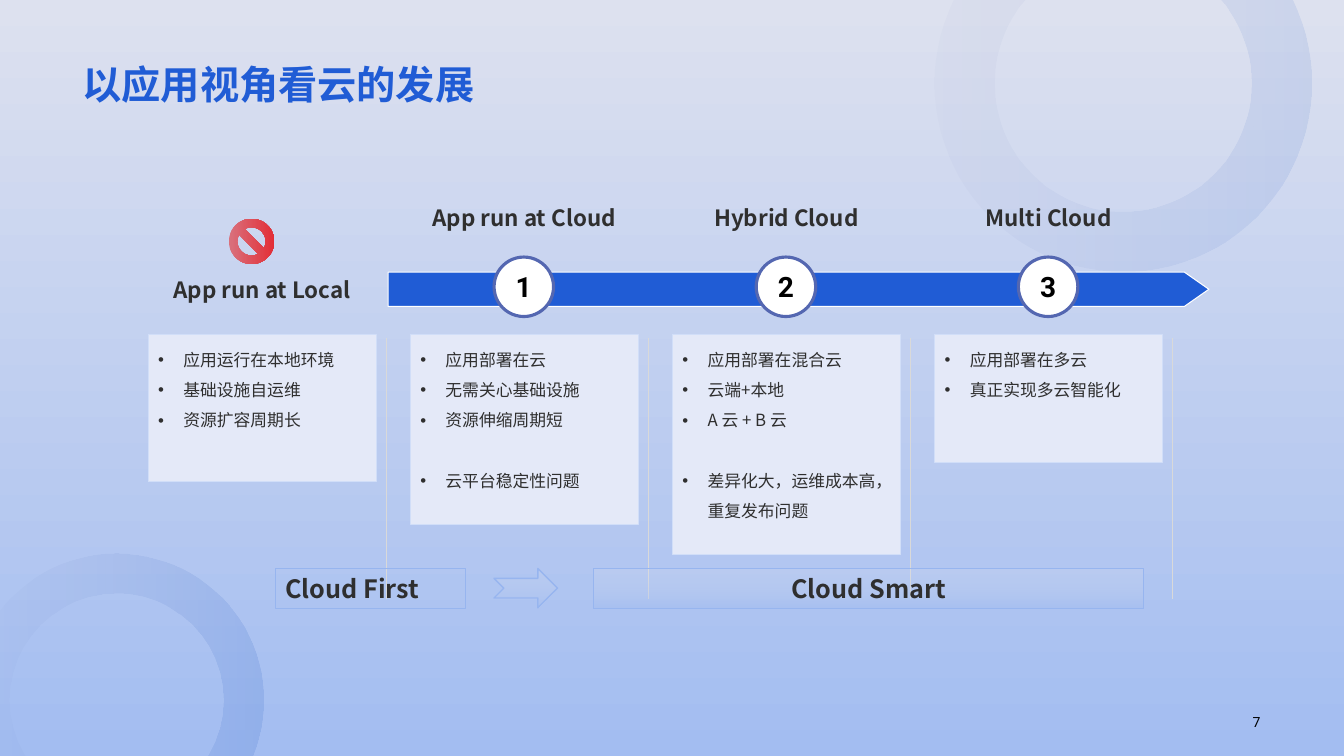
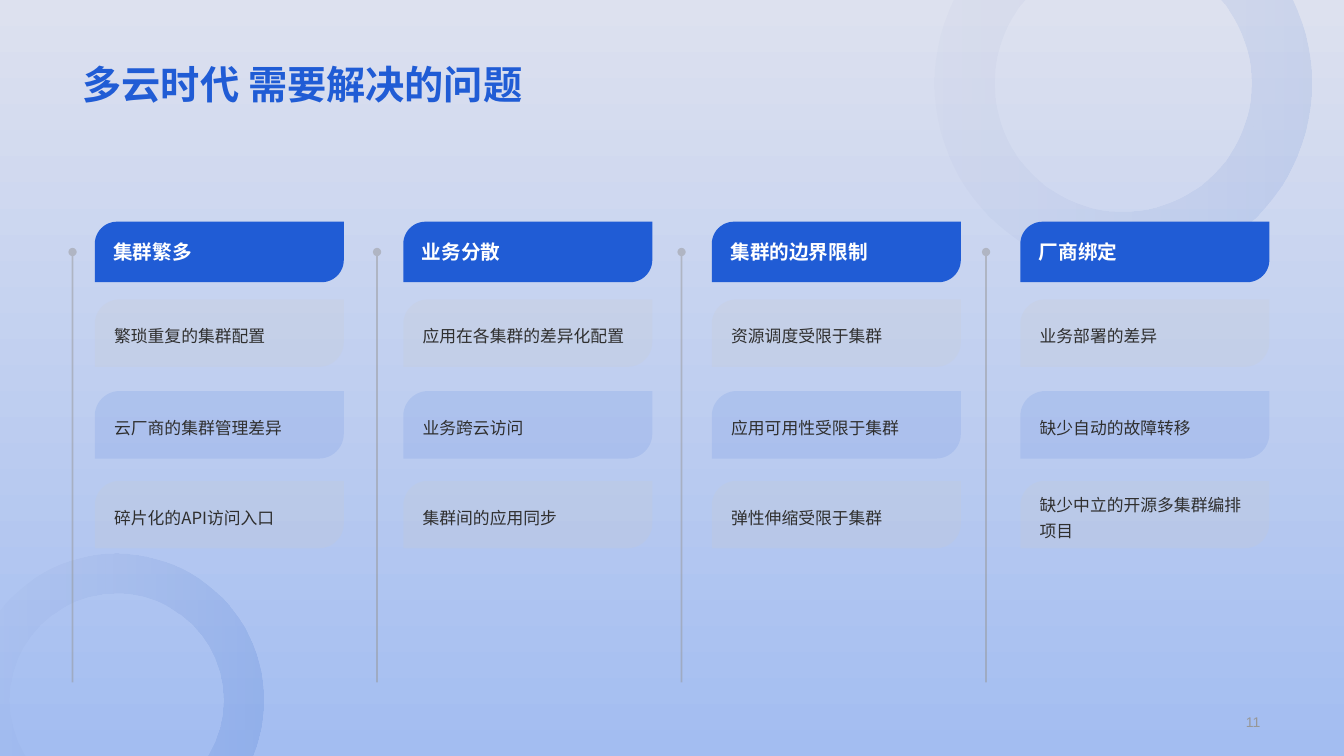
import pptx
import pptx.dml.color
import pptx.enum.shapes
import pptx.enum.text
import pptx.oxml.ns
import pptx.util
from lxml import etree

Inches = pptx.util.Inches
Pt = pptx.util.Pt
RGB = pptx.dml.color.RGBColor
Kind = pptx.enum.shapes.MSO_SHAPE
Align = pptx.enum.text.PP_ALIGN
Anchor = pptx.enum.text.MSO_ANCHOR
qn = pptx.oxml.ns.qn

# Colours
BLUE = RGB(0x20, 0x5C, 0xD5)
INK = RGB(0x2F, 0x2F, 0x2F)
BLACK = RGB(0, 0, 0)
WHITE = RGB(0xFF, 0xFF, 0xFF)
GREY = RGB(0x97, 0x97, 0x97)
STONE = RGB(0xCB, 0xCB, 0xCB)
RULE = RGB(0xD9, 0xD9, 0xD9)
CARD = RGB(0xE4, 0xE9, 0xF8)
EDGE = RGB(0xD1, 0xDE, 0xF8)
FRAME = RGB(0x97, 0xB5, 0xEF)
BADGE = RGB(0x54, 0x67, 0xB1)
DAWN = (RGB(0xDD, 0xE1, 0xEF), RGB(0xA3, 0xBD, 0xF1))
HALO = (RGB(0x6B, 0x7A, 0xB5), RGB(0x30, 0x66, 0xCA))
REDS = (RGB(0xD9, 0x71, 0x7D), RGB(0xE3, 0x2E, 0x37))

# Text styles
NOTO = "Noto Sans CJK JP"


def face(size, color=INK, bold=False, name=NOTO):
    return {"name": name, "size": Pt(size), "bold": bold, "color": color}


TITLE = face(28, BLUE, True, "Roboto")
LABEL = face(16, bold=True)
BODY = face(12)
HEAD = face(14, WHITE, True)
STAGE = face(18, bold=True)
COUNT = face(20, BLACK, True, "Roboto")


def apply(thing, values):
    for key, value in values.items():
        setattr(thing, key, value)


def blend(fill, colors, angle=0):
    fill.gradient()
    fill.gradient_angle = angle
    for stop, color in zip(fill.gradient_stops, colors):
        stop.color.rgb = color


def fade(shape, *levels):
    """Set the opacity, in percent, of the shape's colours in order."""
    for node, level in zip(shape.element.xpath("./p:spPr//a:srgbClr"), levels):
        etree.SubElement(node, qn("a:alpha"), val=str(level * 1000))


class Deck:
    def __init__(self):
        self.file = pptx.Presentation()
        apply(self.file, {"slide_width": Inches(13.33),
                          "slide_height": Inches(7.5)})
        self.plan = self.file.slide_layouts[5]
        blend(self.plan.background.fill, DAWN, 270)
        self.slide = None

    def page(self, title, number, style):
        first = self.slide is None
        self.slide = self.file.slides.add_slide(self.plan)
        if first:
            self.rings()
        head = self.slide.shapes.title
        self.place(head, 0.72, 0, 11.88, 1.12)
        self.text(head, [title], TITLE, Align.LEFT, Anchor.BOTTOM, space=0.9)
        self.label(9.69, 7.04, 2.91, 0.24, number, style, Align.RIGHT)

    def rings(self):
        """Draw the two rings once and hand them to the shared layout."""
        tree = self.plan.shapes.element
        rings = [(9.27, -1.05, 3.74, 0.16, (3, 11)),
                 (-0.3, 5.49, 2.91, 0.137, (1, 16))]
        for spot, (x, y, size, band, levels) in enumerate(rings):
            ring = self.shape(Kind.DONUT, x, y, size, size, HALO,
                              levels=levels, adjust=[band])
            ring.element.xpath(".//p:cNvPr")[0].set("id", str(50 + spot))
            tree.insert(2 + spot, ring.element)

    def place(self, shape, x, y, w, h):
        apply(shape, {"left": Inches(x), "top": Inches(y),
                      "width": Inches(w), "height": Inches(h)})

    def shape(self, kind, x, y, w, h, fill=None, line=None, weight=0.75,
              levels=(), adjust=(), angle=0):
        item = self.slide.shapes.add_shape(
            kind, Inches(x), Inches(y), Inches(w), Inches(h))
        item.shadow.inherit = False
        for spot, value in enumerate(adjust):
            item.adjustments[spot] = value
        if fill is None:
            item.fill.background()
        elif fill in (DAWN, HALO, REDS):
            blend(item.fill, fill, angle)
        else:
            item.fill.solid()
            item.fill.fore_color.rgb = fill
        fade(item, *levels)
        if line is None:
            item.line.fill.background()
        else:
            item.line.color.rgb = line
            item.line.width = Pt(weight)
        return item

    def label(self, x, y, w, h, text, style, align=Align.CENTER):
        box = self.slide.shapes.add_textbox(
            Inches(x), Inches(y), Inches(w), Inches(h))
        self.text(box, [text], style, align)

    def text(self, shape, lines, style, align=Align.LEFT,
             anchor=Anchor.MIDDLE, space=1.0, pad=None, wrap=True):
        frame = shape.text_frame
        apply(frame, {"word_wrap": wrap, "vertical_anchor": anchor,
                      "auto_size": pptx.enum.text.MSO_AUTO_SIZE.NONE})
        if pad is not None:
            sides = ("left", "right", "top", "bottom")
            apply(frame, {f"margin_{side}": Inches(pad) for side in sides})
        frame.text = "\n".join(lines)
        for para in frame.paragraphs:
            apply(para, {"alignment": align, "line_spacing": space})
            for run in para.runs:
                apply(run.font, {key: value for key, value in style.items()
                                 if key != "color"})
                run.font.color.rgb = style["color"]
        for node in shape.element.xpath(".//a:r/a:rPr"):
            node.set("lang", "zh-CN")
            etree.SubElement(node, qn("a:ea"), typeface=NOTO)

    def card(self, x, y, w, h, lines, gap=None):
        """Draw a bulleted card; gap is the line set apart from those above."""
        box = self.shape(Kind.RECTANGLE, x, y, w, h, CARD, EDGE, 0.5)
        self.text(box, lines, BODY, anchor=Anchor.TOP, space=1.5)
        for node in box.element.xpath(".//a:p/a:pPr"):
            node.set("marL", str(Inches(0.25)))
            node.set("indent", str(Inches(-0.25)))
            etree.SubElement(node, qn("a:buFont"), typeface="Arial")
            etree.SubElement(node, qn("a:buChar"), char="•")
        if gap is not None:
            box.text_frame.paragraphs[gap].space_before = Pt(21.5)

    def rule(self, x, top, end, color, weight, dot=False):
        line = self.slide.shapes.add_connector(
            pptx.enum.shapes.MSO_CONNECTOR.STRAIGHT,
            Inches(x), Inches(top), Inches(x), Inches(end))
        line.line.color.rgb = color
        line.line.width = Pt(weight)
        if dot:
            fade(line, 50)
            stroke = line.element.xpath("./p:spPr/a:ln")[0]
            etree.SubElement(stroke, qn("a:headEnd"), type="oval")
        etree.SubElement(line.element.spPr, qn("a:effectLst"))


def stages(deck):
    deck.page("以应用视角看云的发展", "7", face(10, BLACK, name="Roboto"))
    left, step, wide = 1.47, 2.6, 2.26
    deck.shape(Kind.RIGHT_ARROW, 3.85, 2.7, 8.14, 0.34, BLUE, WHITE,
               adjust=[1, 0.714])
    columns = [
        ("App run at Local", 1.46, None,
         ["应用运行在本地环境", "基础设施自运维", "资源扩容周期长"]),
        ("App run at Cloud", 1.88, 3,
         ["应用部署在云", "无需关心基础设施", "资源伸缩周期短",
          "云平台稳定性问题"]),
        ("Hybrid Cloud", 2.18, 3,
         ["应用部署在混合云", "云端+本地", "A 云 + B 云",
          "差异化大，运维成本高，重复发布问题"]),
        ("Multi Cloud", 1.27, None, ["应用部署在多云", "真正实现多云智能化"]),
    ]
    for spot, (name, tall, gap, lines) in enumerate(columns):
        x = left + spot * step
        deck.label(x, 1.77 if spot else 2.48, wide, 0.78, name, LABEL)
        deck.card(x, 3.32, wide, tall, lines, gap)
        deck.rule(x + 2.36, 3.35, 5.94, RULE, 0.5)
        if spot:
            badge = deck.shape(Kind.OVAL, x + 0.83, 2.55, 0.59, 0.59,
                               WHITE, BADGE, 2.25)
            deck.text(badge, [str(spot)], COUNT, Align.CENTER, wrap=False)
    deck.shape(Kind.NO_SYMBOL, 2.27, 2.17, 0.45, 0.45, REDS)

    # Strategy row
    mist = {"fill": DAWN, "line": FRAME, "levels": (18, 48), "angle": 270}
    early = deck.shape(Kind.RECTANGLE, 2.73, 5.64, 1.89, 0.4, line=FRAME)
    deck.text(early, ["Cloud First"], STAGE)
    deck.shape(Kind.NOTCHED_RIGHT_ARROW, 4.9, 5.64, 0.63, 0.39, weight=1,
               **mist)
    later = deck.shape(Kind.RECTANGLE, 5.89, 5.64, 5.45, 0.4, **mist)
    deck.text(later, ["Cloud Smart"], STAGE, Align.CENTER)


def issues(deck):
    deck.page("多云时代 需要解决的问题", "11", face(10, GREY, name="Arial"))
    columns = [
        ("集群繁多", "繁琐重复的集群配置", "云厂商的集群管理差异",
         "碎片化的API访问入口"),
        ("业务分散", "应用在各集群的差异化配置", "业务跨云访问",
         "集群间的应用同步"),
        ("集群的边界限制", "资源调度受限于集群", "应用可用性受限于集群",
         "弹性伸缩受限于集群"),
        ("厂商绑定", "业务部署的差异", "缺少自动的故障转移",
         "缺少中立的开源多集群编排项目"),
    ]
    # Top, height, fill, opacity, text style and line spacing of each row
    rows = [(2.2, 0.6, BLUE, 100, HEAD, 1.0),
            (2.97, 0.67, STONE, 20, BODY, 1.3),
            (3.88, 0.67, BLUE, 10, BODY, 1.3),
            (4.77, 0.67, STONE, 20, BODY, 1.3)]
    for spot, texts in enumerate(columns):
        deck.rule(0.72 + spot * 3.02, 2.5, 6.77, GREY, 1.25, dot=True)
        for text, (y, h, fill, level, style, space) in zip(texts, rows):
            tile = deck.shape(Kind.ROUND_2_DIAG_RECTANGLE, 0.94 + spot * 3.06,
                              y, 2.47, h, fill, levels=(level,),
                              adjust=[0.368, 0])
            deck.text(tile, [text], style, space=space, pad=0.12)


def main():
    deck = Deck()
    stages(deck)
    issues(deck)
    deck.file.save("out.pptx")


if __name__ == "__main__":
    main()
